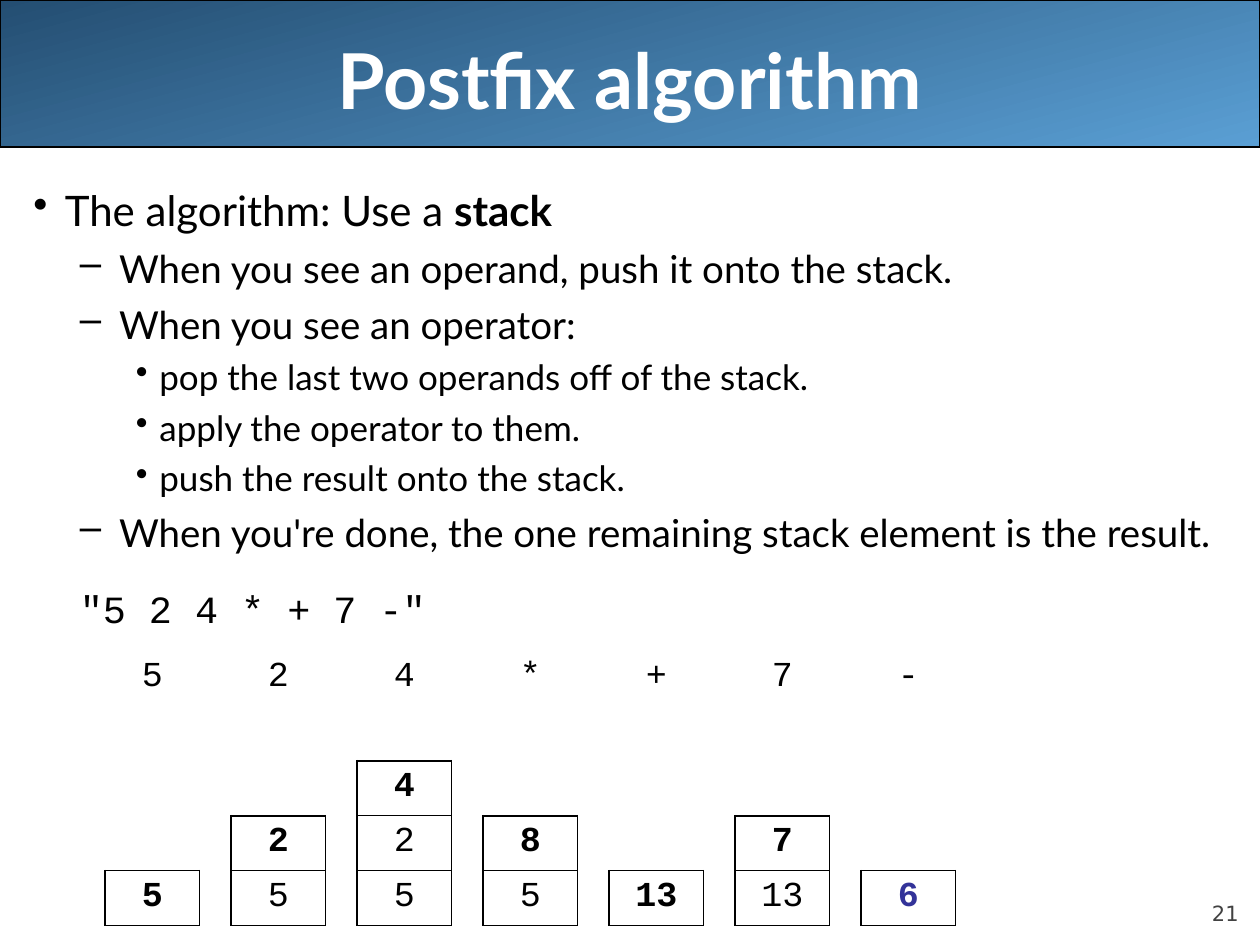
"""Build the postfix algorithm slide with a stack trace for each token."""
import pptx
import pptx.util
import pptx.dml.color
import pptx.enum.shapes
import pptx.enum.text
import pptx.oxml
import pptx.oxml.ns

Pt = pptx.util.Pt
COLORS = {"black": "000000", "white": "FFFFFF", "dark_blue": "244E72",
          "light_blue": "5A9FD4", "result": "333399", "number": "424242"}
ALIGN = pptx.enum.text.PP_ALIGN
ANCHOR = pptx.enum.text.MSO_ANCHOR


def set_font(font, name, size, color, bold=False):
    font.name = name
    font.size = Pt(size)
    font.bold = bold
    font.color.rgb = pptx.dml.color.RGBColor.from_string(COLORS[color])


def add_text_frame(slide, left, top, width, height, anchor):
    text_frame = slide.shapes.add_textbox(Pt(left), Pt(top), Pt(width), Pt(height)).text_frame
    text_frame.word_wrap = True
    text_frame.vertical_anchor = anchor
    return text_frame


presentation = pptx.Presentation()
presentation.slide_width = Pt(720)
presentation.slide_height = Pt(540)
slide = presentation.slides.add_slide(presentation.slide_layouts[6])

banner = slide.shapes.add_shape(
    pptx.enum.shapes.MSO_SHAPE.ROUNDED_RECTANGLE, 0, 0, Pt(720), Pt(84))
banner.adjustments[0] = 0
banner.shadow.inherit = False
banner.fill.gradient()
banner.fill.gradient_angle = 285
for stop, position, color in zip(banner.fill.gradient_stops, (0, 1), ("dark_blue", "light_blue")):
    stop.position = position
    stop.color.rgb = pptx.dml.color.RGBColor.from_string(COLORS[color])
banner.line.color.rgb = pptx.dml.color.RGBColor.from_string(COLORS["black"])
banner.line.width = Pt(0.75)

number_frame = add_text_frame(slide, 648, 500.4, 59.8, 28.8, ANCHOR.BOTTOM)
number_frame.margin_left = number_frame.margin_right = 0
number_frame.margin_top = number_frame.margin_bottom = 0
paragraph = number_frame.paragraphs[0]
paragraph.text = "21"
paragraph.alignment = ALIGN.RIGHT
set_font(paragraph.font, "DejaVu Sans", 12, "number")

title_frame = add_text_frame(slide, 36, 0, 648, 90, ANCHOR.MIDDLE)
paragraph = title_frame.paragraphs[0]
paragraph.text = "Postfix algorithm"
paragraph.alignment = ALIGN.CENTER
set_font(paragraph.font, "Lato", 44, "white", True)

LEVELS = [
    {"size": 24, "left": 18, "indent": -18, "before": 6, "bullet": "•"},
    {"size": 22, "left": 49, "indent": -22.5, "before": 5.5, "bullet": "–"},
    {"size": 20, "left": 72, "indent": -13.5, "before": 5, "bullet": "•"},
    {"size": 22, "left": 49, "indent": -22.5, "before": 17, "bullet": None},
]
BODY = [
    (0, "The algorithm: Use a "),
    (1, "When you see an operand, push it onto the stack."),
    (1, "When you see an operator:"),
    (2, "pop the last two operands off of the stack."),
    (2, "apply the operator to them."),
    (2, "push the result onto the stack."),
    (1, "When you're done, the one remaining stack element is the result."),
    (3, '"5 2 4 * + 7 -"'),
]
body_frame = add_text_frame(slide, 12, 102, 708, 408, ANCHOR.TOP)
for index, (level, text) in enumerate(BODY):
    style = LEVELS[level]
    paragraph = body_frame.add_paragraph() if index else body_frame.paragraphs[0]
    paragraph.text = text
    paragraph.level = min(level, 2) if style["bullet"] else 1
    paragraph.space_before = Pt(style["before"])
    set_font(paragraph.font, "Lato" if style["bullet"] else "Courier New", style["size"], "black")
    properties = paragraph._p.get_or_add_pPr()
    properties.set("marL", str(Pt(style["left"])))
    properties.set("indent", str(Pt(style["indent"])))
    if style["bullet"]:
        bullet = pptx.oxml.parse_xml(
            f'<a:buChar {pptx.oxml.ns.nsdecls("a")} char="{style["bullet"]}"/>')
        properties.find(pptx.oxml.ns.qn("a:defRPr")).addprevious(bullet)
stack_run = body_frame.paragraphs[0].add_run()
stack_run.text = "stack"
stack_run.font.bold = True

ROWS = 5
ROW_HEIGHT = 31.4
STACKS = [("5", ["5"]), ("2", ["2", "5"]), ("4", ["4", "2", "5"]), ("*", ["8", "5"]),
          ("+", ["13"]), ("7", ["7", "13"]), ("-", ["6"])]
for column, (token, stack) in enumerate(STACKS):
    table = slide.shapes.add_table(
        ROWS, 1, Pt(60 + 72 * column), Pt(372), Pt(54), Pt(ROWS * ROW_HEIGHT)).table
    table.first_row = False
    table.horz_banding = False
    first = ROWS - len(stack)
    edges = {edge: 1.08 if edge in (first, ROWS) else 0.45 for edge in range(first, ROWS + 1)}
    texts = [token] + [""] * (first - 1) + stack
    for row, text in enumerate(texts):
        table.rows[row].height = Pt(ROW_HEIGHT)
        cell = table.cell(row, 0)
        side = 1.08 if row >= first else None
        borders = {"L": side, "R": side, "T": edges.get(row), "B": edges.get(row + 1)}
        for name, width in borders.items():
            paint = (f'<a:solidFill><a:srgbClr val="{COLORS["black"]}"/></a:solidFill>'
                     if width else "<a:noFill/>")
            cell._tc.get_or_add_tcPr().append(pptx.oxml.parse_xml(
                f'<a:ln{name} {pptx.oxml.ns.nsdecls("a")} w="{Pt(width or 0)}">{paint}</a:ln{name}>'))
        cell.fill.background()
        if text:
            paragraph = cell.text_frame.paragraphs[0]
            paragraph.text = text
            paragraph.alignment = ALIGN.CENTER
            paragraph.space_before = Pt(5)
            color = "result" if row == first and token == "-" else "black"
            set_font(paragraph.font, "Courier New", 20, color, row == first)

presentation.save("out.pptx")
